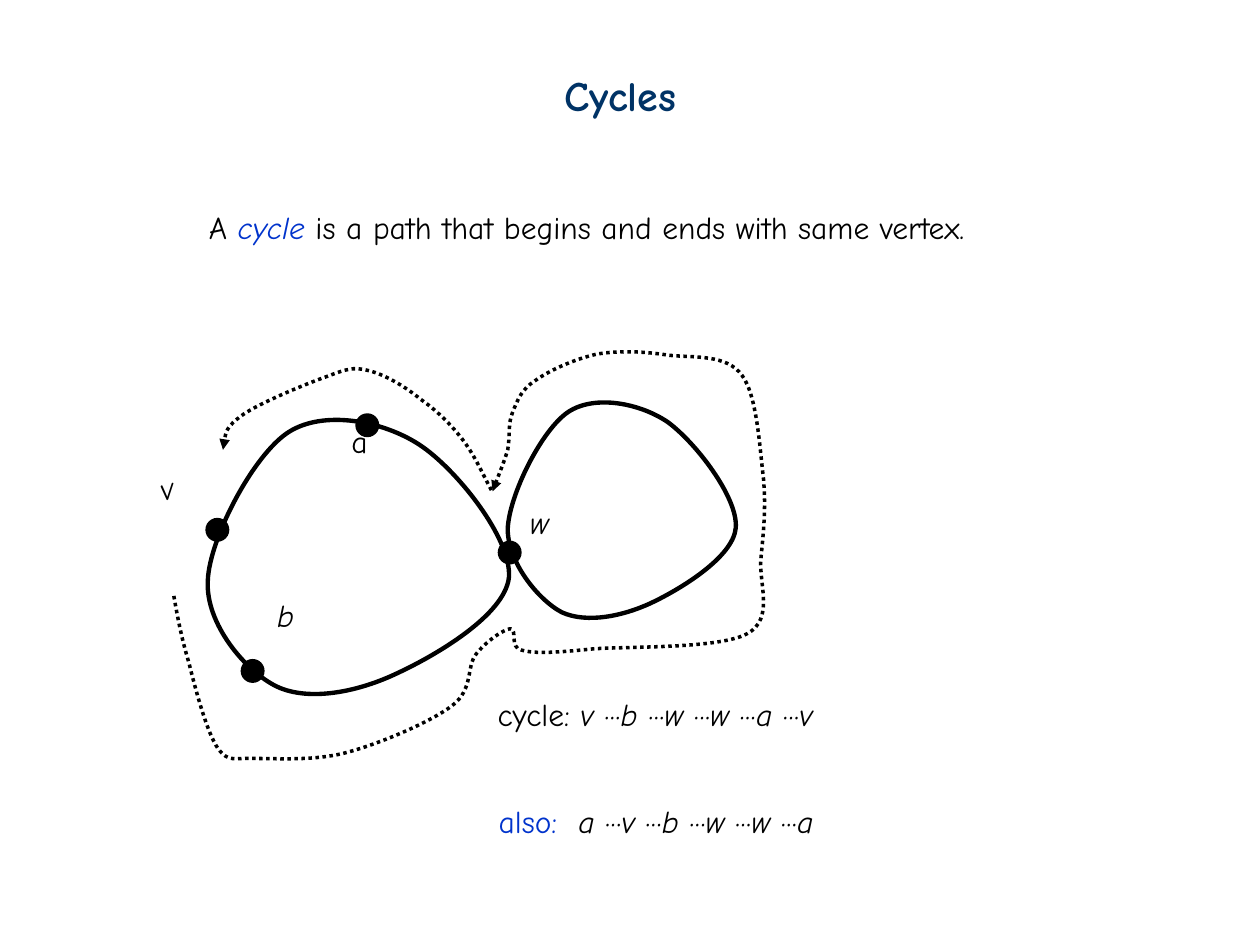
import pptx
import pptx.dml.color
import pptx.enum.dml
import pptx.enum.shapes
import pptx.oxml
import pptx.oxml.ns
import pptx.util
from pptx.util import Inches

FONT = "Comic Neue"
BLACK, BLUE, NAVY = "000000", "0033CC", "003366"
rgb = pptx.dml.color.RGBColor.from_string
qn = pptx.oxml.ns.qn

prs = pptx.Presentation()
prs.slide_width, prs.slide_height = Inches(10), Inches(7.5)
s = prs.slides.add_slide(prs.slide_layouts[6])


def add_text(left, top, width, height, runs, size=18, bold=False):
    """Add one line of text; each run is (text, colour, italic)."""
    box = s.shapes.add_textbox(Inches(left), Inches(top), Inches(width), Inches(height))
    tf = box.text_frame
    tf.word_wrap = True
    for text, color, italic in runs:
        r = tf.paragraphs[0].add_run()
        r.text = text
        r.font.name, r.font.size = FONT, pptx.util.Pt(size)
        r.font.bold, r.font.italic = bold, italic
        r.font.color.rgb = rgb(color)
    return box


def add_curve(points, width, close=False):
    """Draw a Bezier curve: a start point, then three points per segment."""
    points = [(Inches(x), Inches(y)) for x, y in points]
    fb = s.shapes.build_freeform(*points[0])
    fb.add_line_segments(points[1:], close=close)
    sp = fb.convert_to_shape()
    # Merge every three straight steps into one cubic segment
    steps = list(sp._element.iter(qn("a:lnTo")))
    for i in range(0, len(steps), 3):
        cubic = pptx.oxml.parse_xml(f"<a:cubicBezTo {pptx.oxml.ns.nsdecls('a')}/>")
        steps[i].addprevious(cubic)
        for step in steps[i:i + 3]:
            cubic.append(step[0])
            step.getparent().remove(step)
    sp.shadow.inherit = False
    sp.fill.background()
    sp.line.color.rgb = rgb(BLACK)
    sp.line.width = pptx.util.Pt(width)
    return sp


# Title and definition
add_text(4.38, 0.5, 1.2, 0.5, [("Cycles", NAVY, False)], size=24, bold=True)
add_text(1.56, 1.6, 6.83, 0.4, [
    ("A ", BLACK, False),
    ("cycle", BLUE, True),
    (" is a path that begins and ends with same vertex.", BLACK, False),
])

# The two loops of the graph, meeting at w
left_loop = [
    (1.65, 4.61), (1.66, 4.28), (2.01, 3.61), (2.29, 3.43),
    (2.57, 3.25), (3.04, 3.34), (3.33, 3.53), (3.62, 3.72), (4.06, 4.27), (4.04, 4.58),
    (4.01, 4.88), (3.46, 5.2), (3.16, 5.34), (2.85, 5.49), (2.46, 5.57), (2.2, 5.45),
    (1.95, 5.33), (1.63, 4.95), (1.65, 4.61),
]
right_loop = [
    (4.03, 4.2), (4.04, 3.93), (4.3, 3.41), (4.51, 3.27),
    (4.72, 3.13), (5.08, 3.2), (5.3, 3.35), (5.52, 3.51), (5.86, 3.95), (5.84, 4.19),
    (5.82, 4.42), (5.41, 4.67), (5.18, 4.78), (4.95, 4.89), (4.66, 4.95), (4.46, 4.86),
    (4.27, 4.76), (4.03, 4.46), (4.03, 4.2),
]
for loop in (left_loop, right_loop):
    add_curve(loop, 2.5, close=True)

# Dotted arrows following the walk
w_to_v = [
    (3.9, 3.89), (3.83, 3.76), (3.77, 3.62), (3.68, 3.5),
    (3.59, 3.38), (3.47, 3.26), (3.34, 3.17), (3.22, 3.07), (3.05, 2.97), (2.92, 2.94),
    (2.8, 2.91), (2.75, 2.93), (2.59, 2.99), (2.42, 3.05), (2.06, 3.2), (1.93, 3.29),
    (1.79, 3.39), (1.78, 3.48), (1.77, 3.57),
]
v_to_w = [
    (1.38, 4.73), (1.41, 4.9), (1.44, 5.06), (1.5, 5.26),
    (1.55, 5.46), (1.64, 5.81), (1.73, 5.94), (1.82, 6.06), (1.86, 6.01), (2.04, 6.02),
    (2.21, 6.02), (2.51, 6.04), (2.76, 5.97), (3.02, 5.9), (3.42, 5.73), (3.59, 5.6),
    (3.76, 5.47), (3.7, 5.29), (3.78, 5.19), (3.86, 5.09), (3.99, 5), (4.05, 4.99),
    (4.11, 4.99), (4.04, 5.14), (4.14, 5.16), (4.25, 5.19), (4.41, 5.18), (4.71, 5.15),
    (5, 5.13), (5.71, 5.15), (5.93, 5.03), (6.15, 4.91), (6.02, 4.63), (6.04, 4.43),
    (6.06, 4.22), (6.08, 4.04), (6.06, 3.8), (6.03, 3.56), (6.01, 3.14), (5.89, 2.98),
    (5.77, 2.81), (5.51, 2.84), (5.31, 2.82), (5.12, 2.79), (4.92, 2.78), (4.74, 2.81),
    (4.56, 2.85), (4.36, 2.94), (4.25, 3.02), (4.14, 3.09), (4.11, 3.17), (4.07, 3.27),
    (4.03, 3.36), (4.05, 3.46), (4.03, 3.57), (4, 3.67), (3.95, 3.79), (3.91, 3.9),
]
for walk in (w_to_v, v_to_w):
    sp = add_curve(walk, 2)
    sp.line.dash_style = pptx.enum.dml.MSO_LINE.ROUND_DOT
    sp._element.spPr.find(qn("a:ln")).append(pptx.oxml.parse_xml(
        f'<a:tailEnd {pptx.oxml.ns.nsdecls("a")} type="triangle"/>'))

# Vertices: name, dot position, label box, italic, label rotation
DOT = 0.19
vertices = [
    ("w", 3.95, 4.29, 4.11, 3.94, 0.37, True, 0),
    ("v", 1.63, 4.11, 1.17, 3.67, 0.32, True, 346.5),
    ("a", 2.82, 3.28, 2.69, 3.3, 0.33, False, 0),
    ("b", 1.91, 5.23, 2.1, 4.68, 0.35, True, 0),
]
for name, x, y, left, top, width, italic, rotation in vertices:
    add_text(left, top, width, 0.4, [(name, BLACK, italic)]).rotation = rotation
    dot = s.shapes.add_shape(pptx.enum.shapes.MSO_SHAPE.OVAL,
                             Inches(x), Inches(y), Inches(DOT), Inches(DOT))
    dot.shadow.inherit = False
    dot.fill.solid()
    dot.fill.fore_color.rgb = rgb(BLACK)
    dot.line.fill.background()

# The cycle written out from two starting vertices
for left, top, width, label, color, walk in (
    (3.85, 5.47, 3.12, "cycle: ", BLACK, "vbwwav"),
    (3.86, 6.32, 3.06, "also:  ", BLUE, "avbwwa"),
):
    runs = [(label, color, False)]
    for vertex in walk[:-1]:
        runs += [(vertex + " ", BLACK, True), ("···", BLACK, False)]
    add_text(left, top, width, 0.4, runs + [(walk[-1], BLACK, True)])

prs.save("out.pptx")
